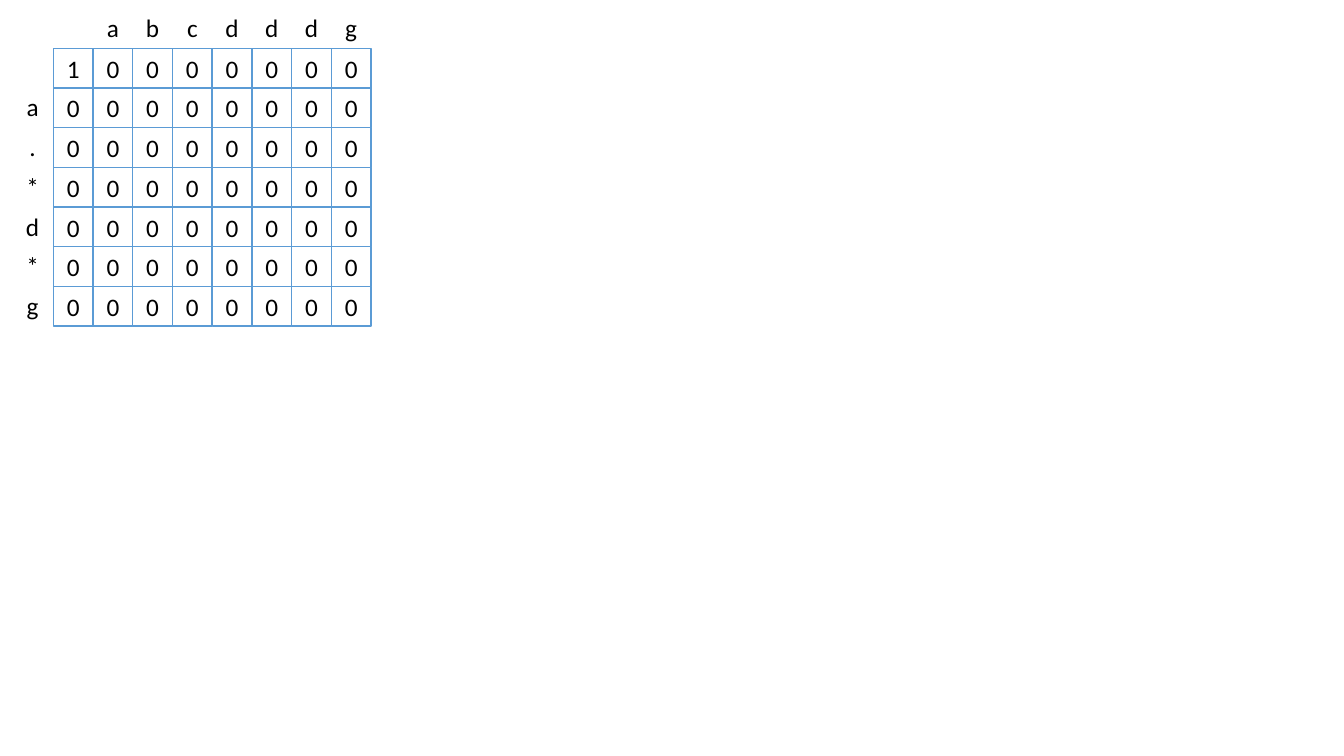
from pptx import Presentation
from pptx.dml.color import RGBColor
from pptx.enum.shapes import MSO_SHAPE
from pptx.enum.text import MSO_ANCHOR, PP_ALIGN
from pptx.util import Inches, Pt

RECTANGLE = MSO_SHAPE.RECTANGLE
MIDDLE = MSO_ANCHOR.MIDDLE
CENTER = PP_ALIGN.CENTER
WHITE = RGBColor(0xFF, 0xFF, 0xFF)
BLACK = RGBColor(0x00, 0x00, 0x00)
BLUE = RGBColor(0x5B, 0x9B, 0xD5)
FONT = "Calibri"
BLANK_LAYOUT = 6

SUBJECT = "abcdddg"
PATTERN = "a.*d*g"


def add_square(slide, left, top, size, symbol, border=None):
    """Draw one white square holding a centred symbol, with an optional border."""
    square = slide.shapes.add_shape(RECTANGLE, left, top, size, size)
    square.shadow.inherit = False
    square.fill.solid()
    square.fill.fore_color.rgb = WHITE
    if border is None:
        square.line.fill.background()
    else:
        square.line.color.rgb = border
        square.line.width = Pt(1)
    frame = square.text_frame
    frame.word_wrap = True
    frame.vertical_anchor = MIDDLE
    paragraph = frame.paragraphs[0]
    paragraph.alignment = CENTER
    run = paragraph.add_run()
    run.text = symbol
    run.font.name = FONT
    run.font.size = Pt(18)
    run.font.color.rgb = BLACK


def add_matching_grid(slide, left, top, width, subject, pattern):
    """Draw the initial match states with the subject above and the pattern at left."""
    size = width // (len(subject) + 1)
    label_gap = Inches(0.01)
    for column, letter in enumerate(subject, start=1):
        add_square(slide, left + column * size, top - size - label_gap, size, letter)
    for row, token in enumerate(pattern, start=1):
        add_square(slide, left - size - label_gap, top + row * size - label_gap, size, token)
    for row in range(len(pattern) + 1):
        for column in range(len(subject) + 1):
            state = "1" if row == column == 0 else "0"
            add_square(slide, left + column * size, top + row * size, size, state, BLUE)


presentation = Presentation()
presentation.slide_width = Inches(13.33)
presentation.slide_height = Inches(7.5)
matching_slide = presentation.slides.add_slide(presentation.slide_layouts[BLANK_LAYOUT])
add_matching_grid(matching_slide, Inches(0.53), Inches(0.48), Inches(3.15), SUBJECT, PATTERN)
presentation.save("out.pptx")
